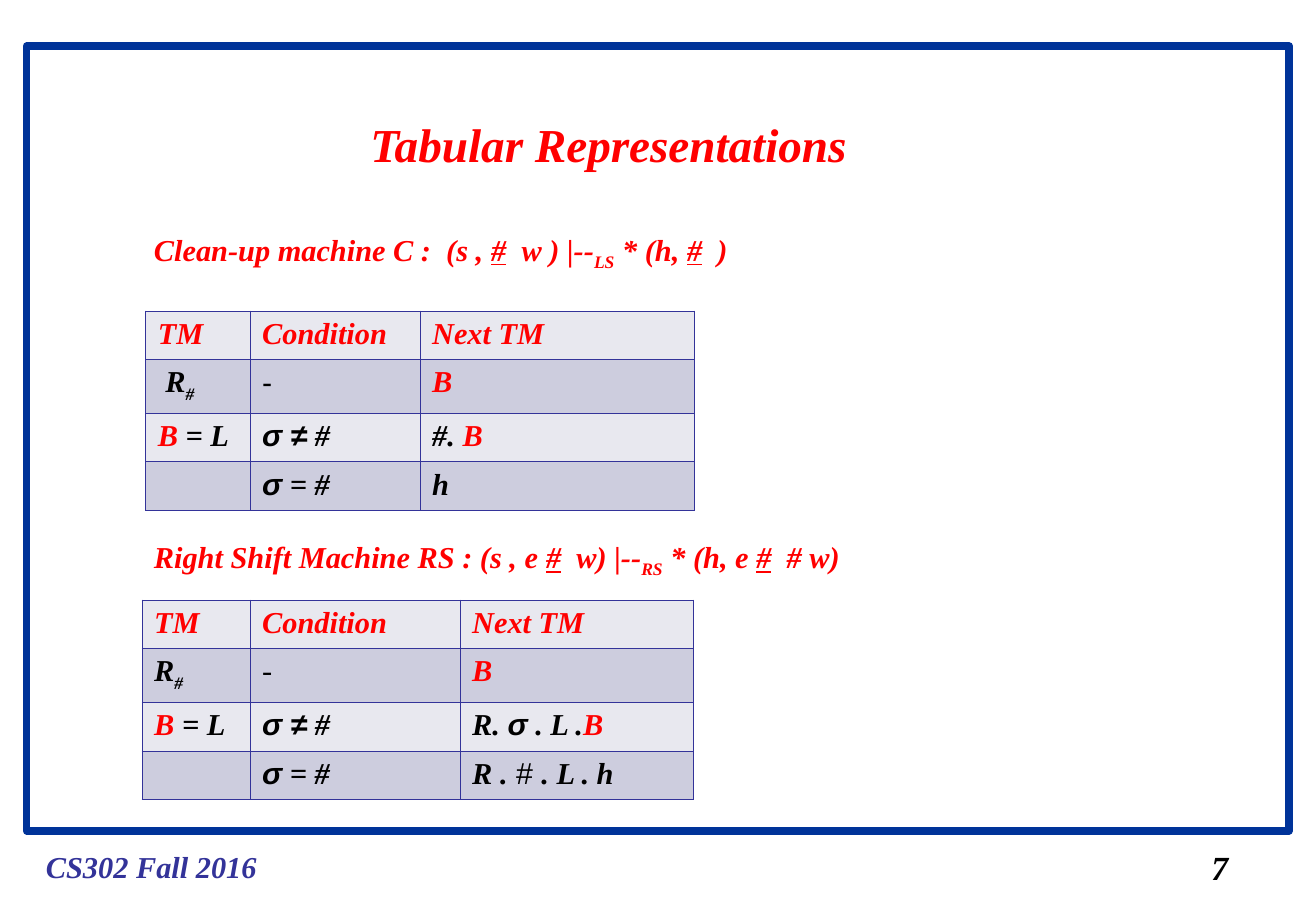
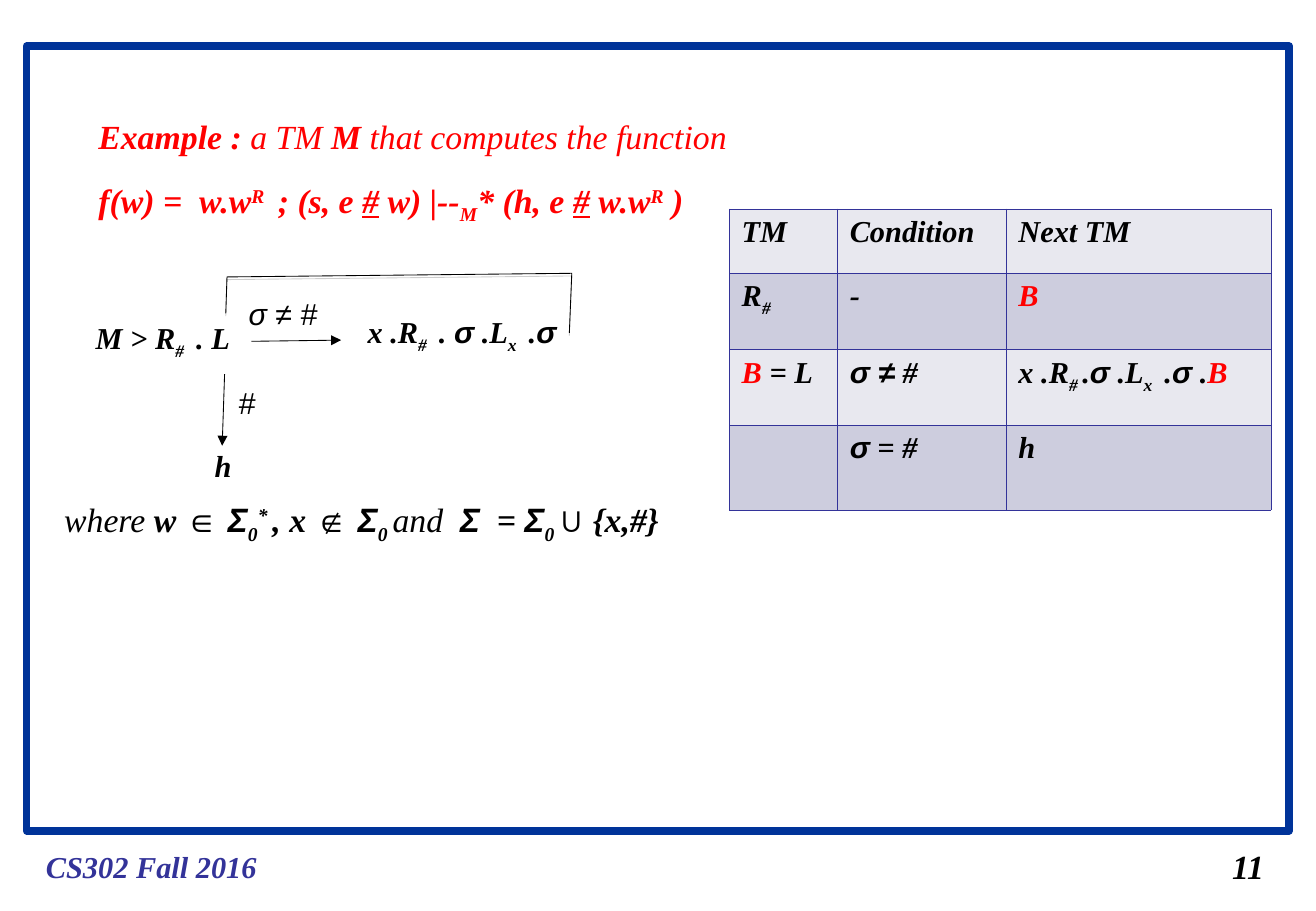
from dataclasses import dataclass

from lxml import etree
from pptx import Presentation, util as u
from pptx.dml.color import RGBColor
from pptx.enum import shapes, text
from pptx.oxml import ns


@dataclass(frozen=True)
class Theme:
    serif: str = "Times New Roman"
    sans: str = "Arial"
    red: str = "FF0000"
    black: str = "000000"
    navy: str = "333399"
    frame: str = "003399"
    shade: str = "808080"
    bands: tuple = ("E8E8EF", "CDCDDE")
    title: int = 28
    large: int = 20
    normal: int = 18


T = Theme()
GRID = u.Inches(0.1)  # one column or row of the layout grid


def at(*cells):
    """Turn grid columns and rows into lengths."""
    return [round(cell * GRID) for cell in cells]


def write(frame, paragraphs, size, color, spacing=None):
    """Write runs (text, marks), bold italic serif unless marked.

    a sans, n not bold, p upright, u underlined, _ subscript,
    ^ superscript, R red, K black
    """
    for number, runs in enumerate(paragraphs):
        par = frame.add_paragraph() if number else frame.paragraphs[0]
        par.alignment = text.PP_ALIGN.LEFT
        if spacing:
            par.line_spacing = spacing
        for words, marks in runs:
            run = par.add_run()
            run.text = words
            font = run.font
            font.size = u.Pt(size)
            font.name = T.sans if "a" in marks else T.serif
            font.bold = "n" not in marks
            font.italic = "p" not in marks
            font.underline = "u" in marks
            shown = T.red if "R" in marks else T.black if "K" in marks else color
            font.color.rgb = RGBColor.from_string(shown)
            for mark, offset in (("_", "-25000"), ("^", "30000")):
                if mark in marks:
                    font._element.set("baseline", offset)


deck = Presentation()
deck.slide_width, deck.slide_height = at(108.4, 75)
layout = deck.slide_layouts[5]
tabular, example = [deck.slides.add_slide(layout) for _ in range(2)]

# Frame and course line, moved to the layout that both slides share
frame = tabular.shapes.add_shape(shapes.MSO_SHAPE.RECTANGLE, *at(2.2, 3.8, 104, 64.6))
frame.shadow.inherit = False
frame.fill.background()
frame.line.color.rgb = RGBColor.from_string(T.frame)
frame.line.width = u.Pt(4.5)
course = tabular.shapes.add_textbox(*at(2.8, 69.3, 22, 4))
course.text_frame.word_wrap = True
write(course.text_frame, [[("CS302 Fall 2016", "")]], T.normal, T.navy)
for number, shared in enumerate((frame, course)):
    shared._element.nvSpPr.cNvPr.set("id", str(100 + number))
    layout.shapes._spTree.append(shared._element)

# Headings: slide, place, paragraphs, size, line spacing
headings = [
    (tabular, (29.5, 9, 44, 5.7), [[("Tabular Representations", "")]], T.title, None),
    (example, (7.1, 7.4, 56.4, 11.7), [
        [("Example : ", ""), ("a TM ", "n"), ("M", ""),
         (" that computes the function", "n")],
        [("f(w) =  w.w", ""), ("R ", "^"), (" ; (s, e ", ""), ("#", "u"),
         (" w) |--", ""), ("M", "_"), ("* (h, e ", ""), ("#", "u"),
         (" w.w", ""), ("R", "^"), (" )", "")],
    ], T.large, 1.5),
]
for slide, place, paragraphs, size, spacing in headings:
    title = slide.shapes.title
    title.left, title.top, title.width, title.height = at(*place)
    title.text_frame.word_wrap = True
    title.text_frame.auto_size = text.MSO_AUTO_SIZE.NONE
    title.text_frame.vertical_anchor = text.MSO_ANCHOR.TOP
    write(title.text_frame, paragraphs, size, T.red, spacing)

# Page numbers, machine definitions and diagram labels
labels = [
    (tabular, (98.8, 69.2, 4, 4.4), T.large, T.black, [("7", "")]),
    (example, (100.5, 69.1, 5.5, 4.4), T.large, T.black, [("11", "")]),
    (tabular, (11.7, 18.5, 53.5, 4.4), T.normal, T.red, [
        ("Clean-up machine C :  (s , ", ""), ("#", "u"), ("  w ) |--", ""),
        ("LS", "_"), (" * (h, ", ""), ("#", "u"), ("  )", "")]),
    (tabular, (11.7, 43.8, 62, 4.4), T.normal, T.red, [
        ("Right Shift Machine RS : (s , e ", ""), ("#", "u"), ("  w) |--", ""),
        ("RS", "_"), (" * (h, e ", ""), ("#", "u"), ("  # w)", "")]),
    (example, (6.9, 25.8, 15, 4.4), T.normal, T.black, [
        ("M > R", ""), ("# ", "_"), (" . L", "")]),
    (example, (19.5, 23.8, 9.6, 4), T.normal, T.black, [("σ ≠ #", "an")]),
    (example, (29.3, 25.3, 19, 4.4), T.normal, T.black, [
        ("x .R", ""), ("# ", "_"), (" . ", ""), ("σ", "a"), (" .L", ""),
        ("x ", "_"), (" .", ""), ("σ", "a")]),
    (example, (18.7, 31.1, 4, 4), T.normal, T.black, [("#", "anp")]),
    (example, (16.7, 36.3, 4, 4), T.normal, T.black, [("h", "")]),
    (example, (4.3, 40.6, 56, 4.8), T.large, T.black, [
        ("where ", "n"), ("w ", ""), ("∈ Σ", "a"), ("0", "_"), ("* ", "^"),
        (", x ", ""), ("∉ Σ", "a"), ("0 ", "_"), ("and  ", "n"), ("Σ", "a"),
        ("  = ", ""), ("Σ", "a"), ("0 ", "_"), ("∪ ", "a"), ("{x,#}", "")]),
]
for slide, place, size, color, runs in labels:
    label = slide.shapes.add_textbox(*at(*place))
    label.text_frame.word_wrap = True
    write(label.text_frame, [runs], size, color)

# Transition tables: slide, corner, columns, rows, heading mark,
# start machine, dash mark, next machine while σ ≠ #, next machine at #
tables = [
    (tabular, (12, 25.6), (8.6, 14, 22.6), (4, 4.4, 4, 4), "R", " R", "anp",
     [("#. ", ""), ("B", "R")], [("h", "")]),
    (tabular, (11.7, 49.4), (8.9, 17.3, 19.2), (4, 4.4, 4, 4), "R", "R", "np",
     [("R. ", ""), ("σ", "a"), (" . L .", ""), ("B", "R")],
     [("R .", ""), (" # ", "anp"), (". L . h", "")]),
    (example, (60.1, 17.2), (8.9, 13.9, 21.8), (5.3, 6.3, 6.2, 7), "K", "R", "",
     [("x .R", ""), ("# ", "_"), (".", ""), ("σ", "a"), (" .L", ""),
      ("x ", "_"), (" .", ""), ("σ", "a"), (" .", ""), ("B", "R")],
     [("h", "")]),
]
for slide, corner, columns, rows, head, start, dash, repeat, halt in tables:
    contents = [
        [[(name, head)] for name in ("TM", "Condition", "Next TM")],
        [[(start, ""), ("#", "_")], [("-", dash)], [("B", "R")]],
        [[("B", "R"), (" = L", "")], [("σ ≠", "a"), (" #", "")], repeat],
        [[], [("σ", "a"), (" = #", "")], halt],
    ]
    grid = slide.shapes.add_table(
        len(rows), len(columns), *at(*corner, sum(columns), sum(rows))).table
    grid.first_row = grid.horz_banding = False
    for column, width in zip(grid.columns, at(*columns)):
        column.width = width
    for r, (row, height) in enumerate(zip(grid.rows, at(*rows))):
        row.height = height
        for cell, runs in zip(row.cells, contents[r]):
            write(cell.text_frame, [runs], T.normal, T.black)
            props = cell._tc.get_or_add_tcPr()
            for side in ("a:lnL", "a:lnR", "a:lnT", "a:lnB"):
                border = etree.SubElement(props, ns.qn(side), w=str(u.Pt(0.45)))
                paint = etree.SubElement(border, ns.qn("a:solidFill"))
                etree.SubElement(paint, ns.qn("a:srgbClr"), val=T.navy)
            cell.fill.solid()
            cell.fill.fore_color.rgb = RGBColor.from_string(T.bands[r % 2])

# Arrows of the machine diagram
for ends in ((20.7, 28.1, 28.1, 28), (18.5, 30.8, 18.3, 36.7)):
    arrow = example.shapes.add_connector(shapes.MSO_CONNECTOR.STRAIGHT, *at(*ends))
    arrow.line.color.rgb = RGBColor.from_string(T.black)
    arrow.line.width = u.Pt(0.5)
    etree.SubElement(arrow.line._get_or_add_ln(), ns.qn("a:tailEnd"), type="triangle")
    etree.SubElement(arrow._element.spPr, ns.qn("a:effectLst"))

# Loop back from the last step to the first, with its soft shadow
outline = example.shapes.build_freeform(*at(46.9, 27.4))
outline.add_line_segments(
    [at(*point) for point in ((47.1, 22.5), (18.7, 22.8), (18.6, 25.8))], close=False)
loop = outline.convert_to_shape()
loop.fill.background()
loop.line.color.rgb = RGBColor.from_string(T.black)
loop.line.width = u.Pt(0.5)
loop.shadow.inherit = False
shadow = etree.SubElement(
    loop._element.spPr.find(ns.qn("a:effectLst")), ns.qn("a:outerShdw"),
    dist=str(u.Pt(1.6)), dir="5400000", rotWithShape="0")
tint = etree.SubElement(shadow, ns.qn("a:srgbClr"), val=T.shade)
etree.SubElement(tint, ns.qn("a:alpha"), val="38000")

deck.save("out.pptx")
